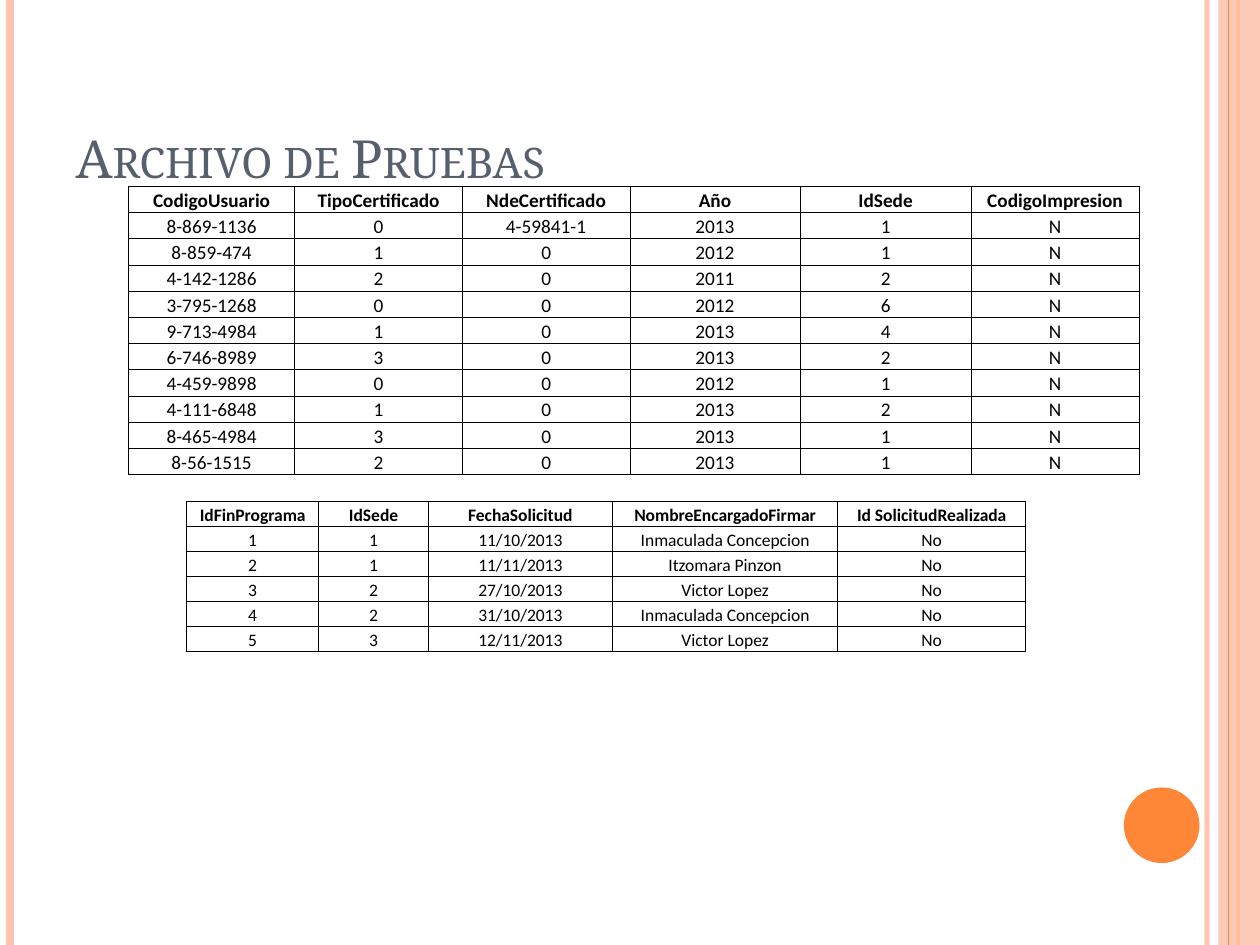
from dataclasses import dataclass

from lxml.etree import SubElement
from pptx import Presentation
from pptx.dml.color import RGBColor
from pptx.enum.shapes import MSO_CONNECTOR, MSO_SHAPE
from pptx.enum.text import MSO_ANCHOR, PP_ALIGN
from pptx.oxml import parse_xml
from pptx.oxml.ns import nsdecls, qn
from pptx.util import Inches, Pt


@dataclass(frozen=True)
class Theme:
    """Colours, fonts and type sizes of the slide."""
    peach: str = "FEC3AE"
    orange: str = "FE8637"
    slate: str = "575F6D"
    ink: str = "000000"
    title_font: str = "Noto Serif"
    table_font: str = "Calibri"
    title_size: float = 30
    users_size: float = 11
    requests_size: float = 10
    border: float = 0.5


class Deck:
    """Draws on one slide over a grid of 100 columns by 75 rows."""

    def __init__(self, prs, theme):
        """Set the page size and open a slide with a title."""
        prs.slide_width, prs.slide_height = Inches(10), Inches(7.5)
        self.cell = prs.slide_width / 100
        self.rows = 75
        self.theme = theme
        self.s = prs.slides.add_slide(prs.slide_layouts[5])

    def grid(self, *units):
        """Turn grid units into slide lengths."""
        return [round(u * self.cell) for u in units]

    def alpha(self, fill, percent):
        """Make a solid fill partly transparent."""
        color = fill.find(".//" + qn("a:srgbClr"))
        SubElement(color, qn("a:alpha")).set("val", str(percent * 1000))

    def add_text(self, p, text, font, size, color, bold=False):
        """Add one formatted run and return it."""
        r = p.add_run()
        r.text = text
        r.font.name, r.font.size, r.font.bold = font, Pt(size), bold
        r.font.color.rgb = RGBColor.from_string(color)
        return r

    def title(self, text, left, top, width, height):
        """Place the title in small capitals."""
        sp, t = self.s.shapes.title, self.theme
        sp.left, sp.top, sp.width, sp.height = self.grid(left, top, width, height)
        tf = sp.text_frame
        tf.word_wrap, tf.vertical_anchor = True, MSO_ANCHOR.BOTTOM
        p = tf.paragraphs[0]
        p.alignment = PP_ALIGN.LEFT
        r = self.add_text(p, text, t.title_font, t.title_size, t.slate)
        r._r.get_or_add_rPr().set("cap", "small")

    def stripe(self, col, color, width, opacity=100):
        """Draw a line down the full height of the slide."""
        x, bottom = self.grid(col, self.rows)
        ln = self.s.shapes.add_connector(MSO_CONNECTOR.STRAIGHT, x, 0, x, bottom)
        ln.line.color.rgb = RGBColor.from_string(color)
        ln.line.width = Pt(width)
        SubElement(ln._element.spPr, qn("a:effectLst"))
        if opacity < 100:
            self.alpha(ln._element.spPr, opacity)

    def shape(self, kind, color, left, top, width, height, opacity=100):
        """Draw a filled shape without an outline."""
        sp = self.s.shapes.add_shape(kind, *self.grid(left, top, width, height))
        sp.shadow.inherit = False
        sp.fill.solid()
        sp.fill.fore_color.rgb = RGBColor.from_string(color)
        sp.line.fill.background()
        if opacity < 100:
            self.alpha(sp._element.spPr, opacity)

    def borders(self, cell):
        """Frame a cell on all four sides."""
        tc_pr = cell._tc.get_or_add_tcPr()
        for i, side in enumerate("LRTB"):
            tc_pr.insert(i, parse_xml(
                f'<a:ln{side} {nsdecls("a")} w="{Pt(self.theme.border)}">'
                f'<a:solidFill><a:srgbClr val="{self.theme.ink}"/></a:solidFill>'
                f'<a:prstDash val="solid"/></a:ln{side}>'))

    def table(self, data, left, top, widths, height, size):
        """Add a ruled table with a bold heading row."""
        frame = self.s.shapes.add_table(
            len(data), len(widths), *self.grid(left, top, sum(widths), height))
        tb = frame.table
        tb.first_row = tb.horz_banding = False
        for col, width in zip(tb.columns, self.grid(*widths)):
            col.width = width
        for i, (row, values) in enumerate(zip(tb.rows, data)):
            row.height = self.grid(height / len(data))[0]
            for cell, value in zip(row.cells, values):
                cell.fill.background()
                self.borders(cell)
                cell.vertical_anchor = MSO_ANCHOR.BOTTOM
                cell.margin_left = cell.margin_right = cell.margin_top = Inches(0.01)
                cell.margin_bottom = 0
                p = cell.text_frame.paragraphs[0]
                p.alignment = PP_ALIGN.CENTER
                self.add_text(p, value, self.theme.table_font, size,
                              self.theme.ink, bold=i == 0)


USERS = [
    ("CodigoUsuario", "TipoCertificado", "NdeCertificado", "Año", "IdSede",
     "CodigoImpresion"),
    ("8-869-1136", "0", "4-59841-1", "2013", "1", "N"),
    ("8-859-474", "1", "0", "2012", "1", "N"),
    ("4-142-1286", "2", "0", "2011", "2", "N"),
    ("3-795-1268", "0", "0", "2012", "6", "N"),
    ("9-713-4984", "1", "0", "2013", "4", "N"),
    ("6-746-8989", "3", "0", "2013", "2", "N"),
    ("4-459-9898", "0", "0", "2012", "1", "N"),
    ("4-111-6848", "1", "0", "2013", "2", "N"),
    ("8-465-4984", "3", "0", "2013", "1", "N"),
    ("8-56-1515", "2", "0", "2013", "1", "N"),
]
REQUESTS = [
    ("IdFinPrograma", "IdSede", "FechaSolicitud", "NombreEncargadoFirmar",
     "Id SolicitudRealizada"),
    ("1", "1", "11/10/2013", "Inmaculada Concepcion", "No"),
    ("2", "1", "11/11/2013", "Itzomara Pinzon", "No"),
    ("3", "2", "27/10/2013", "Victor Lopez", "No"),
    ("4", "2", "31/10/2013", "Inmaculada Concepcion", "No"),
    ("5", "3", "12/11/2013", "Victor Lopez", "No"),
]

prs = Presentation()
theme = Theme()
deck = Deck(prs, theme)
deck.stripe(95.8, theme.peach, 3, opacity=93)
deck.stripe(0.8, theme.peach, 4.5)
deck.stripe(98.3, theme.orange, 1.5)
deck.shape(MSO_SHAPE.RECTANGLE, theme.peach, 96.7, 0, 3.3, deck.rows, opacity=87)
deck.stripe(97.5, theme.orange, 0.75)
deck.shape(MSO_SHAPE.OVAL, theme.orange, 89.2, 62.5, 6, 6)
deck.title("Archivo de Pruebas", 5, 3, 81.7, 12.5)
deck.table(USERS, 10.2, 14.8, (13.2, 13.3, 13.3, 13.5, 13.6, 13.3), 22.9,
           theme.users_size)
deck.table(REQUESTS, 14.8, 39.8, (10.5, 8.7, 14.6, 17.9, 14.9), 11.9,
           theme.requests_size)
prs.save("out.pptx")
